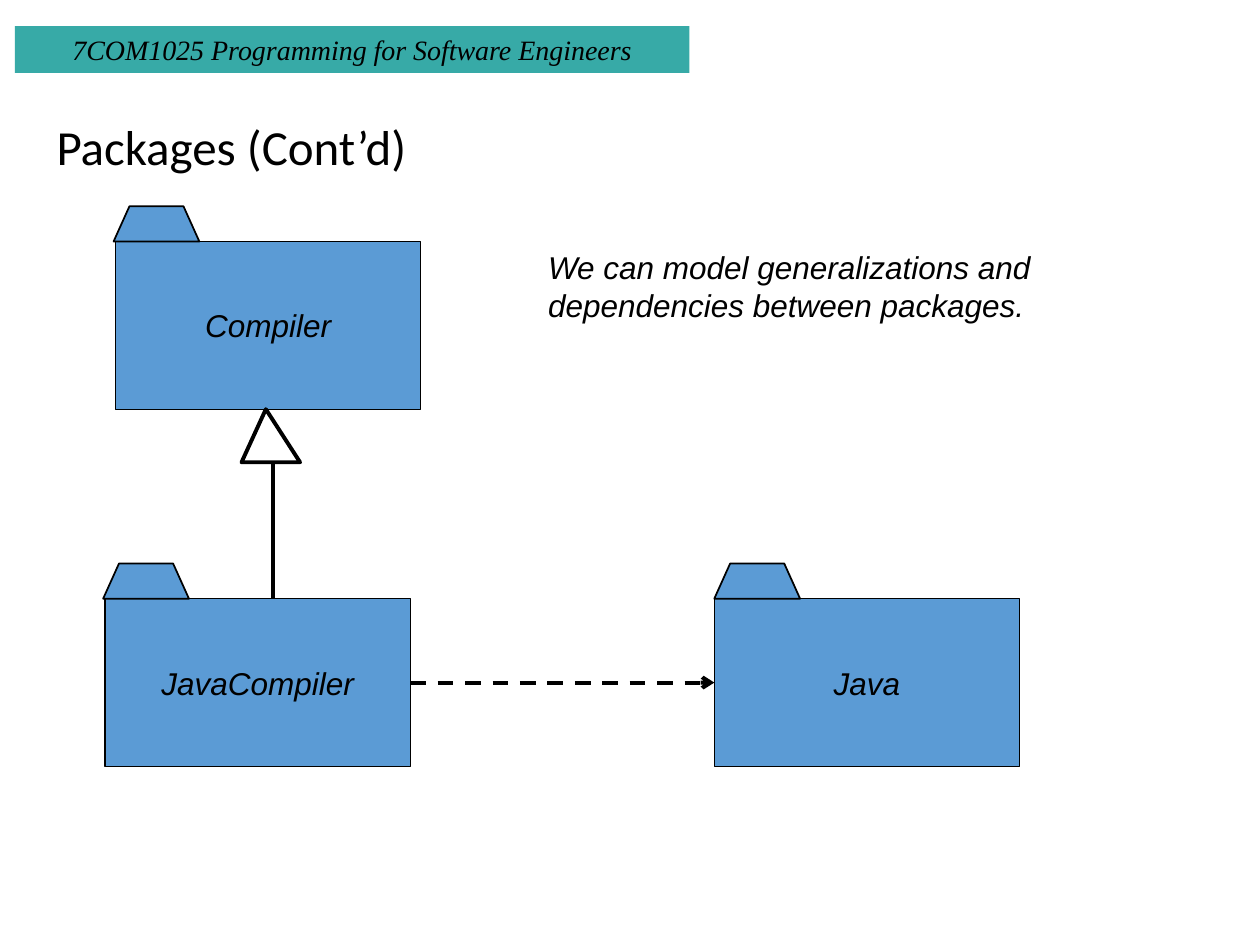
from dataclasses import dataclass

from lxml.etree import SubElement
from pptx import Presentation
from pptx.dml.color import RGBColor
from pptx.enum.dml import MSO_LINE
from pptx.enum.shapes import MSO_CONNECTOR, MSO_SHAPE
from pptx.enum.text import MSO_ANCHOR, PP_ALIGN
from pptx.oxml.ns import qn
from pptx.shapes.autoshape import Shape
from pptx.shapes.connector import Connector
from pptx.util import Cm, Pt

BLACK, WHITE, BLUE, TEAL = "000000", "FFFFFF", "5B9BD5", "37AAA7"
BOX_W, BOX_H = 6.15, 3.38
TAB_W, TAB_H, TAB_SLANT = 1.73, 0.71, 0.32


@dataclass
class Package:
    name: str
    left: float
    top: float
    tab_shift: float = 0

    @property
    def right(self) -> float:
        return self.left + BOX_W

    @property
    def middle(self) -> float:
        return self.top + BOX_H / 2


def color(hex_code: str) -> RGBColor:
    return RGBColor.from_string(hex_code)


def style(sp: Shape, fill: str, line_width: float = 0) -> None:
    """Give a solid fill and a black outline; width 0 means no outline."""
    sp.shadow.inherit = False
    sp.fill.solid()
    sp.fill.fore_color.rgb = color(fill)
    if line_width:
        sp.line.color.rgb = color(BLACK)
        sp.line.width = Pt(line_width)
    else:
        sp.line.fill.background()


def write(sp: Shape, text: str, size: float, font: str = "Arial", italic: bool = True,
          align: PP_ALIGN = PP_ALIGN.LEFT, anchor: MSO_ANCHOR = MSO_ANCHOR.TOP,
          wrap: bool = True) -> None:
    tf = sp.text_frame
    tf.word_wrap = wrap
    tf.vertical_anchor = anchor
    p = tf.paragraphs[0]
    p.text = text
    p.alignment = align
    p.font.name = font
    p.font.size = Pt(size)
    p.font.italic = italic
    p.font.color.rgb = color(BLACK)


def add_box(shapes, left: float, top: float, width: float, height: float) -> Shape:
    return shapes.add_shape(MSO_SHAPE.RECTANGLE, Cm(left), Cm(top), Cm(width), Cm(height))


def add_text(shapes, left: float, top: float, width: float, height: float) -> Shape:
    return shapes.add_textbox(Cm(left), Cm(top), Cm(width), Cm(height))


def add_polygon(shapes, points: list[tuple[float, float]], fill: str, width: float) -> None:
    start, *rest = [(Cm(x), Cm(y)) for x, y in points]
    builder = shapes.build_freeform(*start)
    builder.add_line_segments(rest, close=True)
    style(builder.convert_to_shape(), fill, width)


def add_line(shapes, x1: float, y1: float, x2: float, y2: float) -> Connector:
    line = shapes.add_connector(MSO_CONNECTOR.STRAIGHT, Cm(x1), Cm(y1), Cm(x2), Cm(y2))
    line.line.color.rgb = color(BLACK)
    line.line.width = Pt(2.25)
    SubElement(line._element.spPr, qn("a:effectLst"))
    return line


def add_package(shapes, package: Package) -> None:
    sp = add_box(shapes, package.left, package.top, BOX_W, BOX_H)
    style(sp, BLUE, 0.75)
    write(sp, package.name, 18, align=PP_ALIGN.CENTER, anchor=MSO_ANCHOR.MIDDLE, wrap=False)
    left, bottom = package.left + package.tab_shift, package.top
    right, top = left + TAB_W, bottom - TAB_H
    add_polygon(shapes, [(left, bottom), (left + TAB_SLANT, top),
                         (right - TAB_SLANT, top), (right, bottom)], BLUE, 1)


def add_generalization(shapes, parent: Package, child: Package) -> None:
    """Join child to parent with a line and a hollow triangle."""
    group = shapes.add_group_shape().shapes
    tip_y = parent.top + BOX_H
    base_y = tip_y + 1.07
    add_line(group, 5.5, base_y, 5.5, child.top)
    add_polygon(group, [(5.36, tip_y), (4.87, base_y), (6.05, base_y)], WHITE, 2.25)


def add_dependency(shapes, user: Package, used: Package) -> None:
    """Join two packages with a dashed arrow."""
    arrow = add_line(shapes, user.right, user.middle, used.left, used.middle)
    arrow.line.dash_style = MSO_LINE.DASH
    SubElement(arrow.line._get_or_add_ln(), qn("a:tailEnd"), type="arrow")


def main() -> None:
    prs = Presentation()
    prs.slide_width, prs.slide_height = Cm(25.4), Cm(19.05)
    shapes = prs.slides.add_slide(prs.slide_layouts[6]).shapes

    title = add_text(shapes, 0.89, 2.29, 21.8, 1.47)
    write(title, "Packages (Cont’d)", 28, "Calibri", italic=False, anchor=MSO_ANCHOR.MIDDLE)
    title.text_frame.paragraphs[0].line_spacing = 0.9

    note = add_text(shapes, 10.8, 4.87, 13.55, 2.29)
    write(note, "We can model generalizations and dependencies between packages.", 18)

    compiler = Package("Compiler", 2.33, 4.87, tab_shift=-0.04)
    java_compiler = Package("JavaCompiler", 2.12, 12.07, tab_shift=-0.04)
    java = Package("Java", 14.4, 12.07)
    for package in (compiler, java_compiler, java):
        add_package(shapes, package)
    add_generalization(shapes, compiler, java_compiler)
    add_dependency(shapes, java_compiler, java)

    banner = add_box(shapes, 0.3, 0.53, 13.6, 0.94)
    style(banner, TEAL)
    write(banner, "7COM1025 Programming for Software Engineers", 16, "Times New Roman",
          align=PP_ALIGN.CENTER)

    prs.save("out.pptx")


if __name__ == "__main__":
    main()
